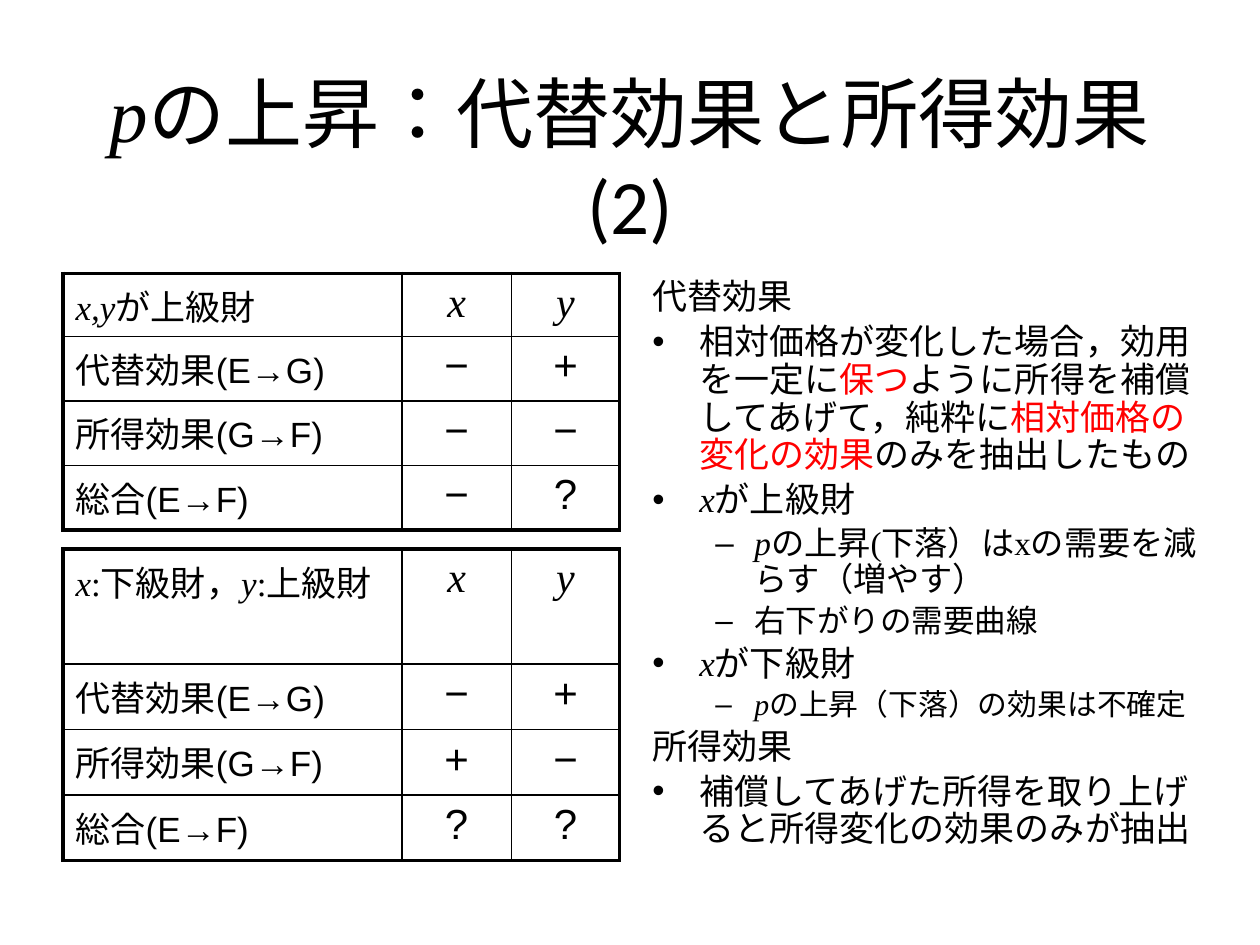
from lxml import etree
from pptx import Presentation
from pptx.dml.color import RGBColor
from pptx.enum.lang import MSO_LANGUAGE_ID
from pptx.enum.text import MSO_ANCHOR, PP_ALIGN
from pptx.oxml.ns import qn
from pptx.util import Cm, Pt

CENTER, LEFT, MIDDLE, TOP = PP_ALIGN.CENTER, PP_ALIGN.LEFT, MSO_ANCHOR.MIDDLE, MSO_ANCHOR.TOP
JAPANESE = MSO_LANGUAGE_ID.JAPANESE
BLACK, RED = "000000", "FF0000"
SERIF, SANS, BODY = "Times New Roman", "Arial", "Calibri"
ITALIC, HIGHLIGHT = {"italic": True}, {"color": RED}
THICK, THIN = 2.25, 1

TITLE = [("p", {"italic": True, "font": SERIF}), ("の上昇：代替効果と所得効果(2)", {})]
EFFECTS = ["代替効果(E→G)", "所得効果(G→F)", "総合(E→F)"]
TABLES = [
    {"top": 5.51, "header_height": 1.27, "row_height": 1.3,
     "heading": [("x,y", ITALIC), ("が上級財", {})],
     "signs": [("−", "+"), ("−", "−"), ("−", "?")]},
    {"top": 11.07, "header_height": 2.32, "row_height": 1.32,
     "heading": [("x", ITALIC), (":下級財，", {}), ("y", ITALIC), (":上級財", {})],
     "signs": [("−", "+"), ("+", "−"), ("?", "?")]},
]
TABLE_LEFT = 1.27
COLUMN_WIDTHS = [6.83, 2.21, 2.18]
LEVELS = {
    "heading": {"indent": (0.95, -0.95), "font": BODY},
    "point": {"indent": (0.95, -0.95), "bullet": "•", "font": SERIF},
    "detail": {"indent": (2.06, -0.79), "bullet": "–", "font": SERIF, "level": 1},
}
NOTES = [
    ("heading", 20, [("代替効果", {})]),
    ("point", 20, [("相対価格が変化した場合，効用を一定に", {}), ("保つ", HIGHLIGHT),
                   ("ように所得を補償してあげて，純粋に", {}),
                   ("相対価格の変化の効果", HIGHLIGHT), ("のみを抽出したもの", {})]),
    ("point", 20, [("x", ITALIC), ("が上級財", {})]),
    ("detail", 19, [("p", ITALIC), ("の上昇(下落）はxの需要を減らす（増やす）", {})]),
    ("detail", 18, [("右下がりの需要曲線", {})]),
    ("point", 20, [("x", ITALIC), ("が下級財", {})]),
    ("detail", 17, [("p", ITALIC), ("の上昇（下落）の効果は不確定", {})]),
    ("heading", 20, [("所得効果", {})]),
    ("point", 20, [("補償してあげた所得を取り上げると所得変化の効果のみが抽出", {})]),
]


def rgb(value):
    return RGBColor.from_string(value)


def write(para, spans, size, font, align=LEFT, before=0.2, spacing=None,
          indent=None, bullet=None, level=0):
    para.alignment, para.level = align, level
    para.space_before = Pt(round(size * before, 1))
    if spacing:
        para.line_spacing = spacing
    properties = para._p.get_or_add_pPr()
    if indent:
        properties.set("marL", str(Cm(indent[0])))
        properties.set("indent", str(Cm(indent[1])))
    if bullet:
        etree.SubElement(properties, qn("a:buFont"), typeface=SANS)
        etree.SubElement(properties, qn("a:buChar"), char=bullet)
    for text, style in spans:
        span = para.add_run()
        span.text = text
        span.font.size = Pt(size)
        span.font.name = style.get("font", font)
        span.font.italic = style.get("italic", False)
        span.font.color.rgb = rgb(style.get("color", BLACK))
        span.font.language_id = JAPANESE


def add_box(page, left, top, width, height, anchor):
    frame = page.shapes.add_textbox(Cm(left), Cm(top), Cm(width), Cm(height)).text_frame
    frame.word_wrap = True
    frame.vertical_anchor = anchor
    return frame


def set_borders(cell, widths):
    cell.fill.background()
    properties = cell._tc.get_or_add_tcPr()
    for position, (side, width) in enumerate(widths.items()):
        line = etree.Element(qn(f"a:ln{side}"), w=str(Pt(width)))
        fill = etree.SubElement(line, qn("a:solidFill"))
        etree.SubElement(fill, qn("a:srgbClr"), val=BLACK)
        properties.insert(position, line)


def add_effect_table(page, top, header_height, row_height, heading, signs):
    rows = [[heading, [("x", ITALIC)], [("y", ITALIC)]]]
    rows += [[[(text, {})] for text in (effect, *pair)] for effect, pair in zip(EFFECTS, signs)]
    heights = [header_height] + [row_height] * len(EFFECTS)
    table = page.shapes.add_table(len(rows), len(COLUMN_WIDTHS), Cm(TABLE_LEFT), Cm(top),
                                  Cm(sum(COLUMN_WIDTHS)), Cm(sum(heights))).table
    table.first_row = table.horz_banding = False
    for column, width in zip(table.columns, COLUMN_WIDTHS):
        column.width = Cm(width)
    for row, height in zip(table.rows, heights):
        row.height = Cm(height)
    last_row, last_column = len(rows) - 1, len(COLUMN_WIDTHS) - 1
    for row, contents in enumerate(rows):
        for column, spans in enumerate(contents):
            cell = table.cell(row, column)
            write(cell.text_frame.paragraphs[0], spans, size=24 if column else 20,
                  font=SANS if row else SERIF, align=CENTER if column else LEFT)
            set_borders(cell, {"L": THIN if column else THICK,
                               "R": THICK if column == last_column else THIN,
                               "T": THIN if row else THICK,
                               "B": THICK if row == last_row else THIN})


deck = Presentation()
deck.slide_width, deck.slide_height = Cm(25.4), Cm(19.05)
page = deck.slides.add_slide(deck.slide_layouts[6])

title = add_box(page, 1.27, 1.27, 22.86, 3.81, MIDDLE)
write(title.paragraphs[0], TITLE, size=44, font=BODY, align=CENTER, before=0)

for effect_table in TABLES:
    add_effect_table(page, **effect_table)

notes = add_box(page, 12.9, 5.51, 11.79, 12.42, TOP)
for index, (kind, size, spans) in enumerate(NOTES):
    para = notes.add_paragraph() if index else notes.paragraphs[0]
    write(para, spans, size=size, spacing=0.9, **LEVELS[kind])

deck.save("out.pptx")
